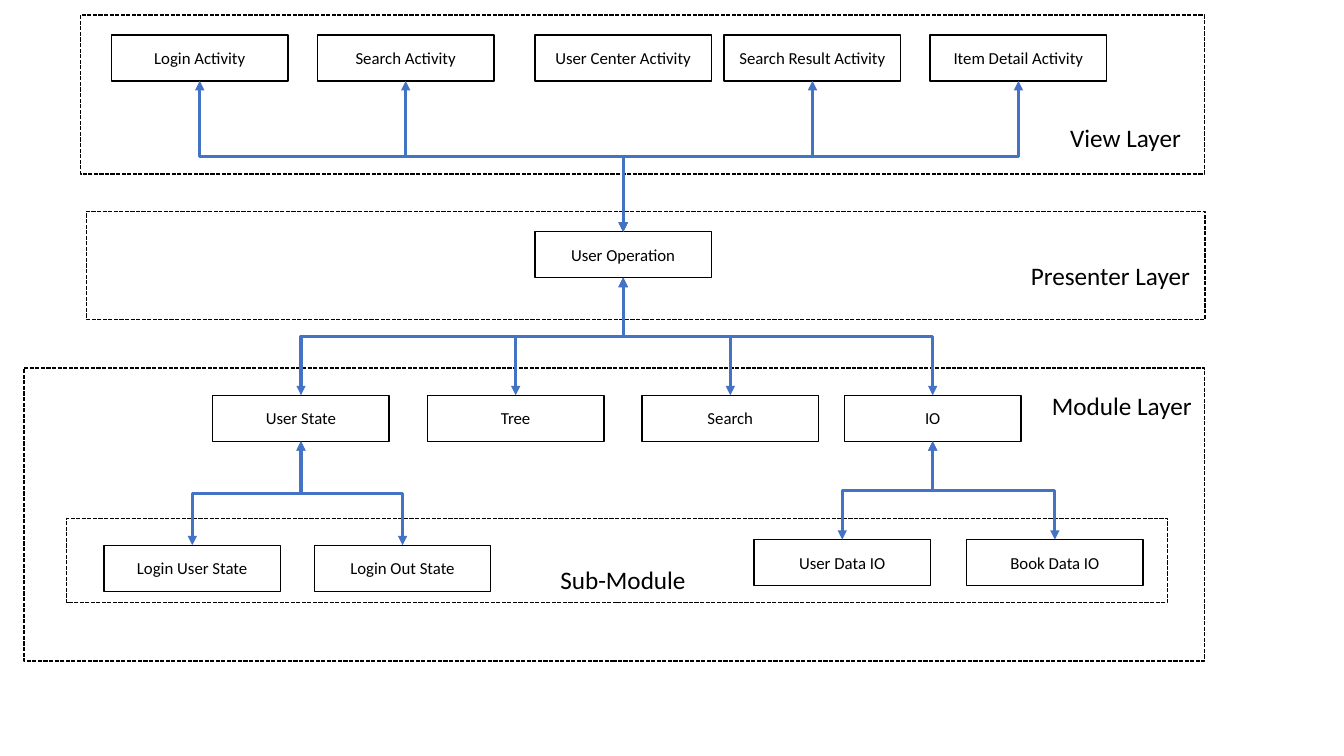
"""Draw the layered architecture of an app: views, presenter, modules and sub-modules."""
import lxml.etree
import pptx
import pptx.dml.color
import pptx.enum.dml
import pptx.enum.shapes
import pptx.enum.text
import pptx.oxml.ns
import pptx.util

Cm = pptx.util.Cm
Pt = pptx.util.Pt
qn = pptx.oxml.ns.qn
RECTANGLE = pptx.enum.shapes.MSO_SHAPE.RECTANGLE
BLACK, WHITE, BLUE = "000000", "FFFFFF", "4472C4"
BOX_WIDTH, BOX_HEIGHT = 4.45, 1.16
TOP_SITE, BOTTOM_SITE = 0, 2


def color(value):
    return pptx.dml.color.RGBColor.from_string(value)


def write_text(frame, text, size=12, align=pptx.enum.text.PP_ALIGN.CENTER,
               anchor=pptx.enum.text.MSO_ANCHOR.MIDDLE, wrap=True):
    frame.word_wrap = wrap
    frame.vertical_anchor = anchor
    para = frame.paragraphs[0]
    para.alignment = align
    span = para.add_run()
    span.text = text
    span.font.name = "Calibri"
    span.font.size = Pt(size)
    span.font.color.rgb = color(BLACK)


deck = pptx.Presentation()
deck.slide_width, deck.slide_height = Cm(33.87), Cm(19.05)
page = deck.slides.add_slide(deck.slide_layouts[6])

layers = [
    ("View Layer", (2.03, 0.38, 28.32, 4.01), (26.72, 2.95, 3.33)),
    ("Presenter Layer", (2.18, 5.33, 28.19, 2.72), (25.73, 6.43, 4.57)),
    ("Module Layer", (0.61, 9.27, 29.74, 7.39), (26.26, 9.7, 4.09)),
    ("Sub-Module", (1.68, 13.06, 27.74, 2.13), (13.87, 14.1, 3.71)),
]
for name, outline, (left, top, width) in layers:
    border = page.shapes.add_shape(RECTANGLE, *map(Cm, outline))
    border.shadow.inherit = False
    border.fill.background()
    border.line.color.rgb = color(BLACK)
    border.line.width = Pt(1)
    border.line.dash_style = pptx.enum.dml.MSO_LINE.SQUARE_DOT
    label = page.shapes.add_textbox(Cm(left), Cm(top), Cm(width), Cm(1.02))
    write_text(label.text_frame, name, size=18, wrap=False,
               align=pptx.enum.text.PP_ALIGN.LEFT, anchor=pptx.enum.text.MSO_ANCHOR.TOP)
    label.text_frame.auto_size = pptx.enum.text.MSO_AUTO_SIZE.SHAPE_TO_FIT_TEXT

rows = [
    (0.88, {"Login Activity": 2.81, "Search Activity": 8, "User Center Activity": 13.48,
            "Search Result Activity": 18.25, "Item Detail Activity": 23.44}),
    (5.84, {"User Operation": 13.48}),
    (9.96, {"User State": 5.36, "Tree": 10.77, "Search": 16.18, "IO": 21.28}),
    (13.74, {"Login User State": 2.62, "Login Out State": 7.92}),
    (13.6, {"User Data IO": 19, "Book Data IO": 24.36}),
]
boxes = {}
for top, lefts in rows:
    for name, left in lefts.items():
        box = page.shapes.add_shape(RECTANGLE, Cm(left), Cm(top), Cm(BOX_WIDTH), Cm(BOX_HEIGHT))
        box.shadow.inherit = False
        box.fill.solid()
        box.fill.fore_color.rgb = color(WHITE)
        box.line.color.rgb = color(BLACK)
        box.line.width = Pt(1)
        write_text(box.text_frame, name)
        boxes[name] = box

links = [
    (["Login Activity", "Search Activity", "Search Result Activity", "Item Detail Activity"],
     ["User Operation"]),
    (["User Operation"], ["User State", "Tree", "Search", "IO"]),
    (["User State"], ["Login User State", "Login Out State"]),
    (["IO"], ["User Data IO", "Book Data IO"]),
]
pairs = [(boxes[a], boxes[b]) for uppers, lowers in links for a in uppers for b in lowers]
for upper, lower in pairs:
    start_x = upper.left + upper.width // 2
    end_x = lower.left + lower.width // 2
    start_y, end_y = upper.top + upper.height, lower.top
    arrow = page.shapes.add_connector(
        pptx.enum.shapes.MSO_CONNECTOR.ELBOW, start_x, start_y, end_x, end_y)
    arrow.begin_connect(upper, BOTTOM_SITE)
    arrow.end_connect(lower, TOP_SITE)
    arrow.line.color.rgb = color(BLUE)
    arrow.line.width = Pt(2.25)

    # A quarter turn makes the elbow leave and arrive vertically.
    run, drop = abs(end_x - start_x), end_y - start_y
    arrow.left = (start_x + end_x - drop) // 2
    arrow.top = (start_y + end_y - run) // 2
    arrow.width, arrow.height = drop, run
    properties = arrow._element.spPr
    transform = properties.find(qn("a:xfrm"))
    rightward = end_x > start_x
    transform.set("rot", "16200000" if rightward else "5400000")
    transform.set("flipH", "1" if rightward else "0")
    for tag in ("a:headEnd", "a:tailEnd"):
        lxml.etree.SubElement(properties.find(qn("a:ln")), qn(tag), type="triangle")
    lxml.etree.SubElement(properties, qn("a:effectLst"))

deck.save("out.pptx")
